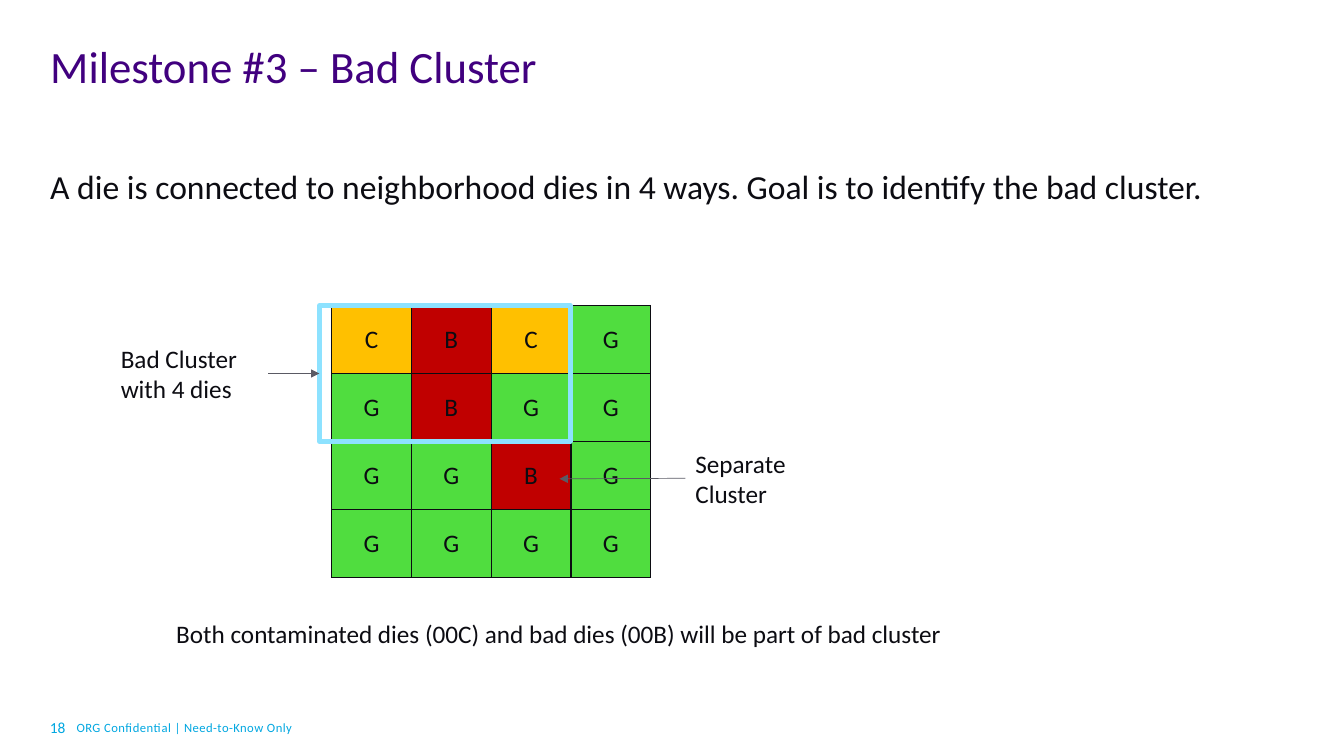
"""Build the slide about finding a cluster of bad dies."""
from lxml.etree import SubElement
from pptx import Presentation
from pptx.dml.color import RGBColor
from pptx.enum.shapes import MSO_CONNECTOR as Connector, MSO_SHAPE as Shape
from pptx.enum.text import MSO_ANCHOR as Anchor, PP_ALIGN as Align
from pptx.oxml.ns import qn
from pptx.oxml import parse_xml
from pptx.oxml.ns import nsdecls
from pptx.util import Pt

INK, PURPLE, BLUE = "0C0C12", "41007F", "00A7E1"
SKY, GRAY = "8DE2FF", "5A5A64"
DIE_FILLS = {"G": "50DD3F", "B": "C00000", "C": "FFC000"}
DIES = ["CBCG", "GBGG", "GGBG", "GGGG"]
LEFT_SIDE, RIGHT_SIDE = 1, 3


def color(value):
    return RGBColor.from_string(value)


class SlideBuilder:
    font = "Calibri"

    def __init__(self, page):
        self.page = page

    def style(self, para, size, ink, align=Align.LEFT):
        para.alignment = align
        for span in para.runs:
            span.font.name = self.font
            span.font.size = Pt(size)
            span.font.color.rgb = color(ink)

    def text(self, words, left, top, width, height, size=18, ink=INK,
             anchor=Anchor.MIDDLE, align=Align.LEFT, inset=True, wrap=True):
        box = self.page.shapes.add_textbox(Pt(left), Pt(top), Pt(width), Pt(height))
        frame = box.text_frame
        frame.text = words
        frame.word_wrap = wrap
        frame.vertical_anchor = anchor
        if not inset:
            frame.margin_left = frame.margin_right = Pt(0)
            frame.margin_top = frame.margin_bottom = Pt(0)
        self.style(frame.paragraphs[0], size, ink, align)
        return box

    def die_map(self, rows, left, top, width, height):
        frame = self.page.shapes.add_table(
            len(rows), len(rows[0]), Pt(left), Pt(top), Pt(width), Pt(height))
        table = frame.table
        table.first_row = table.horz_banding = False
        for row, letters in enumerate(rows):
            for column, letter in enumerate(letters):
                self.die(table.cell(row, column), letter)

    def die(self, cell, letter):
        cell.text = letter
        cell.vertical_anchor = Anchor.MIDDLE
        cell.fill.solid()
        cell.fill.fore_color.rgb = color(DIE_FILLS[letter])
        self.style(cell.text_frame.paragraphs[0], 18, INK, Align.CENTER)
        properties = cell._tc.get_or_add_tcPr()
        for index, side in enumerate("LRTB"):
            properties.insert(index, parse_xml(
                f'<a:ln{side} {nsdecls("a")} w="{Pt(1)}"><a:solidFill>'
                f'<a:srgbClr val="{INK}"/></a:solidFill></a:ln{side}>'))

    def outline(self, left, top, width, height, ink, weight):
        box = self.page.shapes.add_shape(
            Shape.RECTANGLE, Pt(left), Pt(top), Pt(width), Pt(height))
        box.shadow.inherit = False
        box.fill.background()
        box.line.color.rgb = color(ink)
        box.line.width = Pt(weight)
        return box

    def arrow(self, start, end, ink=GRAY, weight=0.5):
        line = self.page.shapes.add_connector(
            Connector.STRAIGHT, *map(Pt, start), *map(Pt, end))
        line.line.color.rgb = color(ink)
        line.line.width = Pt(weight)
        SubElement(line.line._get_or_add_ln(), qn("a:tailEnd"), type="triangle")
        SubElement(line._element.spPr, qn("a:effectLst"))
        return line


def main():
    deck = Presentation()
    deck.slide_width, deck.slide_height = Pt(960), Pt(540)
    page = deck.slides.add_slide(deck.slide_layouts[6])
    builder = SlideBuilder(page)

    footer = builder.text("ORG Confidential | Need-to-Know Only", 54.7, 514.1, 198.7, 10.8,
                          size=9, ink=BLUE, anchor=Anchor.TOP, inset=False)
    footer.text_frame.paragraphs[0].runs[0]._r.get_or_add_rPr().set("spc", "30")
    builder.text("18", 9.4, 512.6, 37.4, 13.7, size=11, ink=BLUE,
                 align=Align.RIGHT, inset=False)

    title = builder.text("Milestone #3 – Bad Cluster", 28.8, 28.8, 900, 43.2,
                         size=32, ink=PURPLE, anchor=Anchor.TOP)
    title.text_frame.paragraphs[0].line_spacing = 0.9
    builder.text("A die is connected to neighborhood dies in 4 ways. "
                 "Goal is to identify the bad cluster.",
                 28.8, 115.2, 852.5, 360, size=24, anchor=Anchor.TOP)

    builder.die_map(DIES, 236.9, 218.2, 228, 194.4)
    cluster = builder.outline(228.2, 218.2, 179.3, 97.2, SKY, 3)
    cluster_label = builder.text("Bad Cluster with 4 dies", 79.2, 241.2, 112.3, 51.1)
    builder.text("Both contaminated dies (00C) and bad dies (00B) "
                 "will be part of bad cluster", 118.8, 437.8, 572.4, 28.8, wrap=False)
    separate_label = builder.text("Separate Cluster", 489.6, 316.1, 95, 51.1)

    separate_arrow = builder.arrow((489.6, 341.6), (399.6, 342))
    separate_arrow.begin_connect(separate_label, LEFT_SIDE)
    cluster_arrow = builder.arrow((191.5, 266.8), (228.2, 266.8))
    cluster_arrow.begin_connect(cluster_label, RIGHT_SIDE)
    cluster_arrow.end_connect(cluster, LEFT_SIDE)

    deck.save("out.pptx")


if __name__ == "__main__":
    main()
